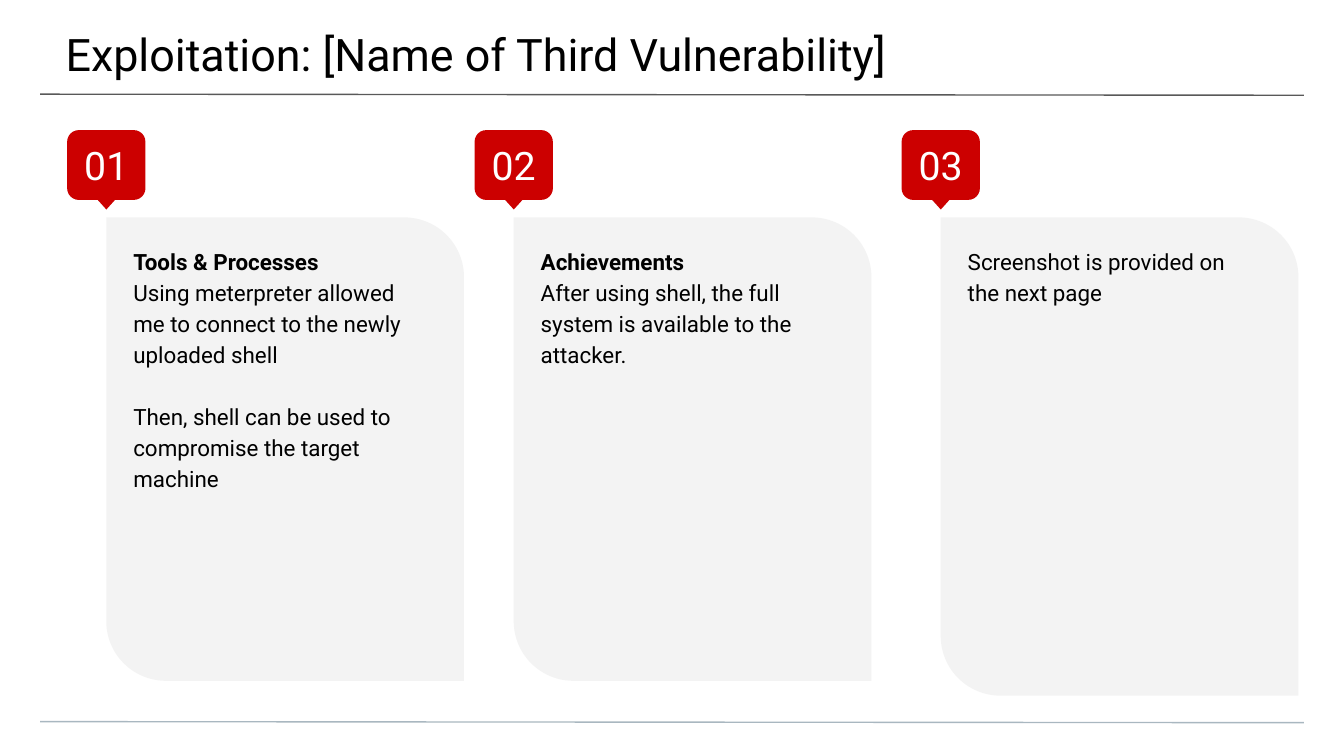
from lxml.etree import SubElement
from pptx import Presentation
from pptx.dml.color import RGBColor
from pptx.enum.shapes import MSO_CONNECTOR, MSO_SHAPE
from pptx.enum.text import MSO_ANCHOR, MSO_AUTO_SIZE, PP_ALIGN
from pptx.oxml.ns import qn
from pptx.util import Cm, Pt

BLACK = RGBColor(0x00, 0x00, 0x00)
WHITE = RGBColor(0xFF, 0xFF, 0xFF)
RED = RGBColor(0xCC, 0x00, 0x00)
PANEL = RGBColor(0xF3, 0xF3, 0xF3)
DARK_RULE = RGBColor(0x59, 0x59, 0x59)
PALE_RULE = RGBColor(0xA9, 0xB7, 0xC0)

FONT = "Roboto"
BADGE_TOP, BADGE_W, BADGE_H = 2.46, 1.48, 1.32
POINTER_W, POINTER_H = 0.74, 0.41
PANEL_TOP, PANEL_W = 4.11, 6.76

# left, panel height, text width, heading, body paragraphs
COLUMNS = [
    (1.27, 8.76, 6.58, "Tools & Processes",
     ["Using meterpreter allowed me to connect to the newly uploaded shell",
      "Then, shell can be used to compromise the target machine"]),
    (8.97, 8.76, 6.76, "Achievements",
     ["After using shell, the full system is available to the attacker."]),
    (17.04, 9.04, 6.58, None, ["Screenshot is provided on the next page"]),
]


def set_frame(tf, left, top, right, bottom, anchor=MSO_ANCHOR.TOP):
    tf.margin_left, tf.margin_top = Cm(left), Cm(top)
    tf.margin_right, tf.margin_bottom = Cm(right), Cm(bottom)
    tf.word_wrap = True
    tf.auto_size = MSO_AUTO_SIZE.NONE
    tf.vertical_anchor = anchor


def write(p, text, size=12, color=BLACK, bold=False, align=PP_ALIGN.LEFT,
          spacing=1.0, before=0):
    p.alignment = align
    p.line_spacing = spacing
    p.space_before = Pt(before)
    r = p.add_run()
    r.text = text
    r.font.name = FONT
    r.font.size = Pt(size)
    r.font.bold = bold
    r.font.color.rgb = color


def add_filled(shapes, kind, x, y, w, h, color):
    sp = shapes.add_shape(kind, Cm(x), Cm(y), Cm(w), Cm(h))
    sp.shadow.inherit = False
    sp.fill.solid()
    sp.fill.fore_color.rgb = color
    sp.line.fill.background()
    return sp


def add_rule(s, y, color):
    line = s.shapes.add_connector(MSO_CONNECTOR.STRAIGHT, Cm(0.76), Cm(y),
                                  Cm(24.64), Cm(y + 0.02))
    line.line.color.rgb = color
    line.line.width = Pt(0.75)
    SubElement(line._element.spPr, qn("a:effectLst"))


def add_title(s, text, x, y, w, h):
    sp = s.shapes.title
    sp.left, sp.top, sp.width, sp.height = Cm(x), Cm(y), Cm(w), Cm(h)
    set_frame(sp.text_frame, 1.27, 0.51, 0.76, 0.25)
    write(sp.text_frame.paragraphs[0], text, size=24)


def add_badge(s, number, x, y, w, h):
    """Draw a numbered tag with a pointer below it."""
    group = s.shapes.add_group_shape()
    tag = add_filled(group.shapes, MSO_SHAPE.ROUNDED_RECTANGLE, x, y, w, h, RED)
    tag.adjustments[0] = 0.167
    set_frame(tag.text_frame, 0.25, 0.25, 0.25, 0.25, MSO_ANCHOR.MIDDLE)
    write(tag.text_frame.paragraphs[0], f"{number:02}", size=21, color=WHITE,
          align=PP_ALIGN.CENTER)
    pointer = add_filled(group.shapes, MSO_SHAPE.FLOWCHART_EXTRACT,
                         x + (w - POINTER_W) / 2, y + h - 0.23,
                         POINTER_W, POINTER_H, RED)
    pointer.rotation = 180


def add_panel(s, heading, body, x, y, w, h, text_w):
    panel = add_filled(s.shapes, MSO_SHAPE.ROUND_2_DIAG_RECTANGLE, x, y, w, h, PANEL)
    panel.adjustments[0] = 0
    panel.adjustments[1] = 0.167
    tf = s.shapes.add_textbox(Cm(x), Cm(y), Cm(text_w), Cm(h)).text_frame
    set_frame(tf, 0.51, 0.51, 0.51, 0.51)
    p = tf.paragraphs[0]
    if heading:
        write(p, heading, bold=True, spacing=1.15)
        p = tf.add_paragraph()
    write(p, body[0], spacing=1.15)
    for text in body[1:]:
        write(tf.add_paragraph(), text, spacing=1.15, before=16.6)


def main():
    prs = Presentation()
    prs.slide_width, prs.slide_height = Cm(25.4), Cm(14.29)
    s = prs.slides.add_slide(prs.slide_layouts[5])
    add_rule(s, 1.78, DARK_RULE)
    add_rule(s, 13.64, PALE_RULE)
    add_title(s, "Exploitation: [Name of Third Vulnerability]", -0.03, 0, 25.48, 1.47)
    for number, (x, h, text_w, heading, body) in enumerate(COLUMNS, 1):
        add_panel(s, heading, body, x + BADGE_W / 2, PANEL_TOP, PANEL_W, h, text_w)
        add_badge(s, number, x, BADGE_TOP, BADGE_W, BADGE_H)
    prs.save("out.pptx")


if __name__ == "__main__":
    main()
